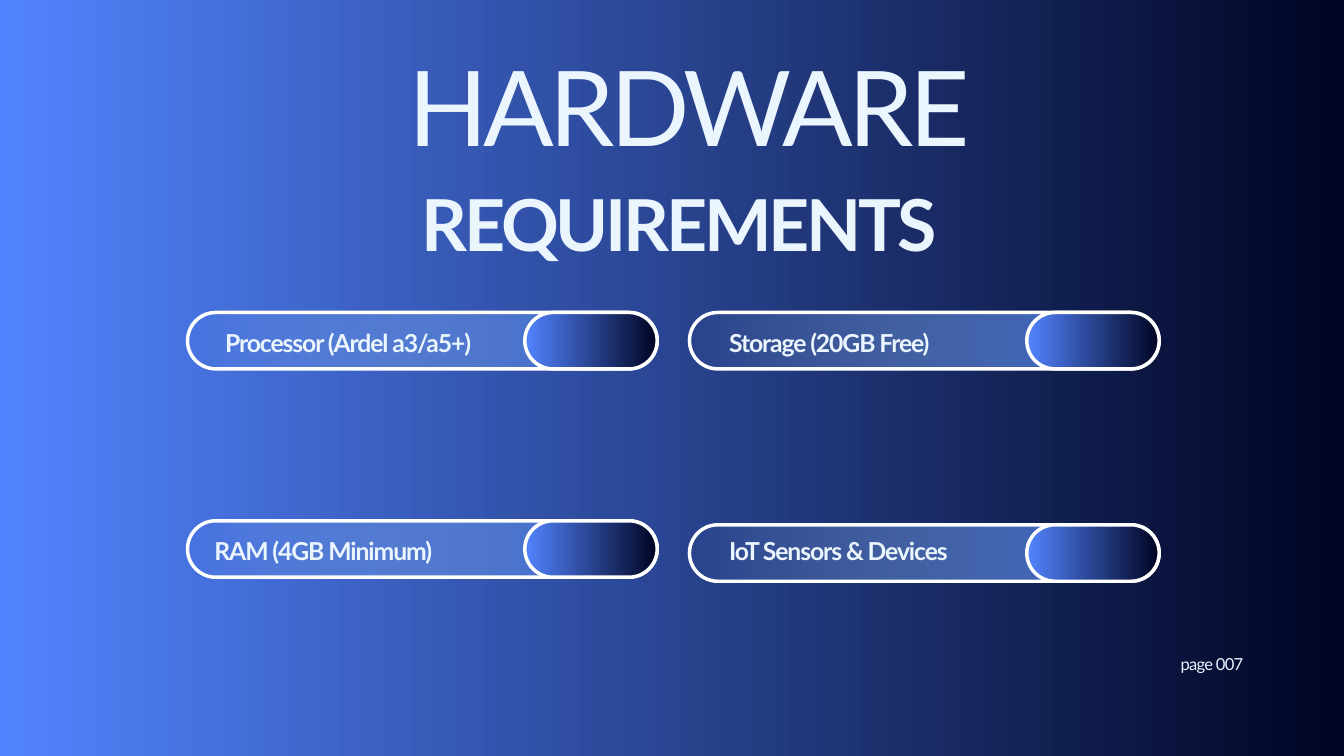
from lxml import etree
from pptx import Presentation
from pptx.dml.color import RGBColor
from pptx.enum.shapes import MSO_SHAPE
from pptx.enum.text import MSO_AUTO_SIZE, PP_ALIGN
from pptx.oxml.ns import qn
from pptx.util import Inches, Pt

PILL = MSO_SHAPE.ROUNDED_RECTANGLE
LEFT, CENTER = PP_ALIGN.LEFT, PP_ALIGN.CENTER
GROW = MSO_AUTO_SIZE.SHAPE_TO_FIT_TEXT

COLORS = {
    "blue": "5284FF",
    "night": "000422",
    "sky": "9FCDFF",
    "royal": "3964CD",
    "ice": "EBF5FE",
    "outline": "FFFFFF",
}
FONT = "Lato"

prs = Presentation()
prs.slide_width, prs.slide_height = Inches(20), Inches(11.25)
slide = prs.slides.add_slide(prs.slide_layouts[6])


def add_text(text, left, top, width, height, size, leading, spacing,
             bold=False, align=LEFT):
    box = slide.shapes.add_textbox(
        Inches(left), Inches(top), Inches(width), Inches(height))
    frame = box.text_frame
    frame.margin_left = frame.margin_right = 0
    frame.margin_top = frame.margin_bottom = 0
    frame.word_wrap = True
    frame.auto_size = GROW
    paragraph = frame.paragraphs[0]
    paragraph.alignment = align
    paragraph.line_spacing = Pt(leading)
    run = paragraph.add_run()
    run.text = text
    run.font.name = FONT
    run.font.size = Pt(size)
    run.font.bold = bold
    run.font.color.rgb = RGBColor.from_string(COLORS["ice"])
    run.font._element.set("spc", str(round(spacing * 100)))


def set_gradient(fill, start, end):
    fill.gradient()
    fill.gradient_angle = 0
    for stop, name in zip(fill.gradient_stops, (start, end)):
        stop.color.rgb = RGBColor.from_string(COLORS[name])


# Background
set_gradient(slide.background.fill, "blue", "night")

# Title and page number
add_text("HARDWARE", 5.7, 0.32, 9.11, 2.08, size=111.9, leading=156.7,
         spacing=-5.1, align=CENTER)
add_text("REQUIREMENTS", 5.7, 2.46, 8.82, 1.42, size=76.7, leading=107.4,
         spacing=-3.5, bold=True, align=CENTER)
add_text("page 007", 17.57, 9.68, 1.3, 0.34, size=17.8, leading=24.9,
         spacing=-0.8)

# Requirements: label, pill left and top, label left and top
BAR_WIDTH, CAP_WIDTH, PILL_HEIGHT = 6.99, 1.97, 0.84
requirements = [
    ("Processor (Ardel a3/a5+)", 2.79, 4.65, 3.35, 4.8),
    ("RAM (4GB Minimum)", 2.79, 7.75, 3.19, 7.9),
    ("Storage (20GB Free)", 10.26, 4.65, 10.85, 4.8),
    ("IoT Sensors & Devices", 10.26, 7.81, 10.85, 7.9),
]
for label, bar_left, bar_top, label_left, label_top in requirements:
    cap_left = bar_left + BAR_WIDTH - CAP_WIDTH
    # Long bar fading in from clear, then the solid cap at its right end
    for left, width, start, end, fades in (
            (bar_left, BAR_WIDTH, "sky", "royal", True),
            (cap_left, CAP_WIDTH, "blue", "night", False)):
        pill = slide.shapes.add_shape(
            PILL, Inches(left), Inches(bar_top), Inches(width),
            Inches(PILL_HEIGHT))
        pill.adjustments[0] = 0.5
        pill.shadow.inherit = False
        set_gradient(pill.fill, start, end)
        pill.line.color.rgb = RGBColor.from_string(COLORS["outline"])
        pill.line.width = Pt(3.75)
        if fades:
            first_color = pill._element.spPr.find(".//" + qn("a:srgbClr"))
            etree.SubElement(first_color, qn("a:alpha")).set("val", "0")
    add_text(label, label_left, label_top, 4.55, 0.49, size=26.5,
             leading=37.1, spacing=-1.2, bold=True)

prs.save("out.pptx")
